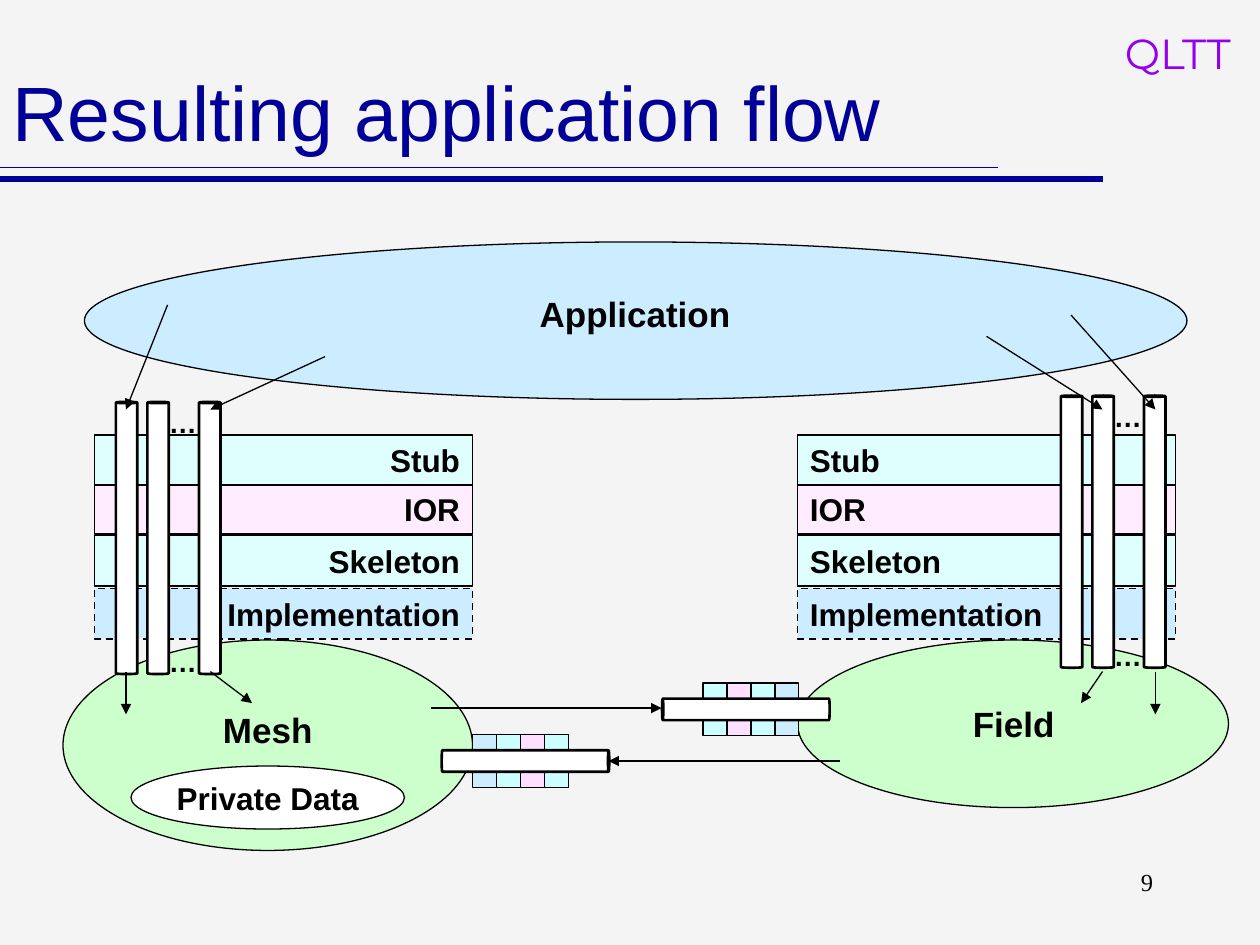
from lxml import etree
from pptx import Presentation
from pptx import util as u
from pptx.dml.color import RGBColor
from pptx.enum import dml, shapes, text
from pptx.oxml.ns import qn

BLACK = RGBColor(0x00, 0x00, 0x00)
WHITE = RGBColor(0xFF, 0xFF, 0xFF)
NAVY = RGBColor(0x00, 0x00, 0x99)
VIOLET = RGBColor(0x94, 0x00, 0xED)
PAPER = RGBColor(0xF4, 0xF4, 0xF4)
SKY = RGBColor(0xCC, 0xEC, 0xFF)
MINT = RGBColor(0xDF, 0xFF, 0xFF)
PINK = RGBColor(0xFF, 0xED, 0xFF)
GREEN = RGBColor(0xCC, 0xFF, 0xCC)
CYAN = RGBColor(0xCC, 0xFF, 0xFF)
ROSE = RGBColor(0xFF, 0xDF, 0xFF)

KIND = shapes.MSO_SHAPE
ALIGN = text.PP_ALIGN
LAYERS = [
    ("Implementation", 4.67, SKY),
    ("Skeleton", 4.25, MINT),
    ("IOR", 3.84, PINK),
    ("Stub", 3.45, MINT),
]
CELLS = [CYAN, ROSE, CYAN, SKY]
CELL = 0.19
CALLS = [
    ((1.33, 2.42), (1, 3.25)),
    ((2.58, 2.83), (1.67, 3.25)),
    ((7.83, 2.67), (8.75, 3.25)),
    ((8.5, 2.5), (9.17, 3.25)),
    ((1, 5.33), (1, 5.67)),
    ((1.67, 5.33), (2, 5.58)),
    ((8.75, 5.33), (8.58, 5.58)),
    ((9.17, 5.33), (9.17, 5.67)),
]


def write(frame, words, size, align=ALIGN.CENTER, color=BLACK, bold=True,
          face="Arial", wrap=False, anchor=text.MSO_ANCHOR.TOP):
    frame.word_wrap = wrap
    frame.vertical_anchor = anchor
    para = frame.paragraphs[0]
    para.text = words
    para.alignment = align
    font = para.font
    font.name = face
    font.size = u.Pt(size)
    font.bold = bold
    font.color.rgb = color


def label(slide, box, words, size, **style):
    item = slide.shapes.add_textbox(*map(u.Inches, box))
    write(item.text_frame, words, size, **style)


def block(slide, kind, box, fill, width=0.75):
    item = slide.shapes.add_shape(kind, *map(u.Inches, box))
    item.shadow.inherit = False
    item.fill.solid()
    item.fill.fore_color.rgb = fill
    item.line.color.rgb = BLACK
    item.line.width = u.Pt(width)
    return item


def line(slide, start, end, color=BLACK, width=0.75, arrow=True):
    item = slide.shapes.add_connector(
        shapes.MSO_CONNECTOR.STRAIGHT, *map(u.Inches, start + end))
    item.line.color.rgb = color
    item.line.width = u.Pt(width)
    props = item.element.spPr
    if arrow:
        etree.SubElement(props.find(qn("a:ln")), qn("a:tailEnd"),
                         type="triangle")
    etree.SubElement(props, qn("a:effectLst"))


def pipe(slide, left, top, height=2.16, turn=0):
    item = block(slide, KIND.CAN, (left, top, 0.17, height), WHITE, 1.5)
    item.adjustments[0] = 0.058
    item.rotation = turn


def pipes(slide, left, top):
    for step in (0, 0.25, 0.66):
        pipe(slide, left + step, top)
    for drop in (-0.02, 1.88):
        label(slide, (left + 0.32, top + drop, 0.42, 0.37), "…", 16)


def stack(slide, left, align):
    for name, top, fill in LAYERS:
        item = block(slide, KIND.RECTANGLE, (left, top, 3, 0.4), fill, 1)
        if name == "Implementation":
            item.line.dash_style = dml.MSO_LINE.DASH
        write(item.text_frame, name, 18, align, wrap=True)


def port(slide, left, top, fills, start, end, mid, turn):
    for i, fill in enumerate(fills):
        block(slide, KIND.RECTANGLE, (left + i * CELL, top, CELL, 0.42), fill)
    line(slide, start, end)
    pipe(slide, mid - 0.085, top + 0.21 - 0.665, 1.33, turn)


def header(slide):
    line(slide, (0, 1.33), (7.92, 1.33), NAVY, 1, False)
    line(slide, (0, 1.42), (8.75, 1.42), NAVY, 3, False)
    label(slide, (8.83, 0.17, 1.15, 0.33), "QLTT", 24, align=ALIGN.LEFT,
          color=VIOLET, bold=False, face="Montserrat")
    label(slide, (0, 0.25, 10, 1.25), "Resulting application flow", 44,
          align=ALIGN.LEFT, color=NAVY, bold=False, wrap=True,
          anchor=text.MSO_ANCHOR.MIDDLE)


def main():
    deck = Presentation()
    deck.slide_width = u.Inches(10)
    deck.slide_height = u.Inches(7.5)
    slide = deck.slides.add_slide(deck.slide_layouts[6])
    slide.background.fill.solid()
    slide.background.fill.fore_color.rgb = PAPER
    header(slide)

    block(slide, KIND.OVAL, (0.67, 1.92, 8.75, 1.25), SKY)
    label(slide, (4.14, 2.27, 1.8, 0.44), "Application", 20)
    stack(slide, 0.75, ALIGN.RIGHT)
    block(slide, KIND.OVAL, (0.5, 5.08, 3.25, 1.67), GREEN)
    data = block(slide, KIND.OVAL, (1.04, 6.08, 2.17, 0.5), WHITE)
    write(data.text_frame, "Private Data", 18, anchor=text.MSO_ANCHOR.MIDDLE)
    label(slide, (1.65, 5.57, 0.95, 0.44), "Mesh", 20)
    block(slide, KIND.OVAL, (6.33, 5.08, 3.42, 1.33), GREEN)
    field = block(slide, KIND.RECTANGLE, (7.62, 5.53, 0.85, 0.44), GREEN)
    field.line.fill.background()
    write(field.text_frame, "Field", 20)
    stack(slide, 6.33, ALIGN.LEFT)

    pipes(slide, 8.42, 3.14)
    pipes(slide, 0.92, 3.19)
    for start, end in CALLS:
        line(slide, start, end)
    port(slide, 5.58, 5.42, CELLS, (3.42, 5.62), (5.25, 5.62), 5.92, 270)
    port(slide, 3.75, 5.83, CELLS[::-1], (6.67, 6.04), (4.83, 6.04), 4.17, 90)
    label(slide, (7.17, 6.83, 2.08, 0.5), "9", 14, align=ALIGN.RIGHT,
          bold=False, face="Times New Roman", wrap=True)
    deck.save("out.pptx")


if __name__ == "__main__":
    main()
